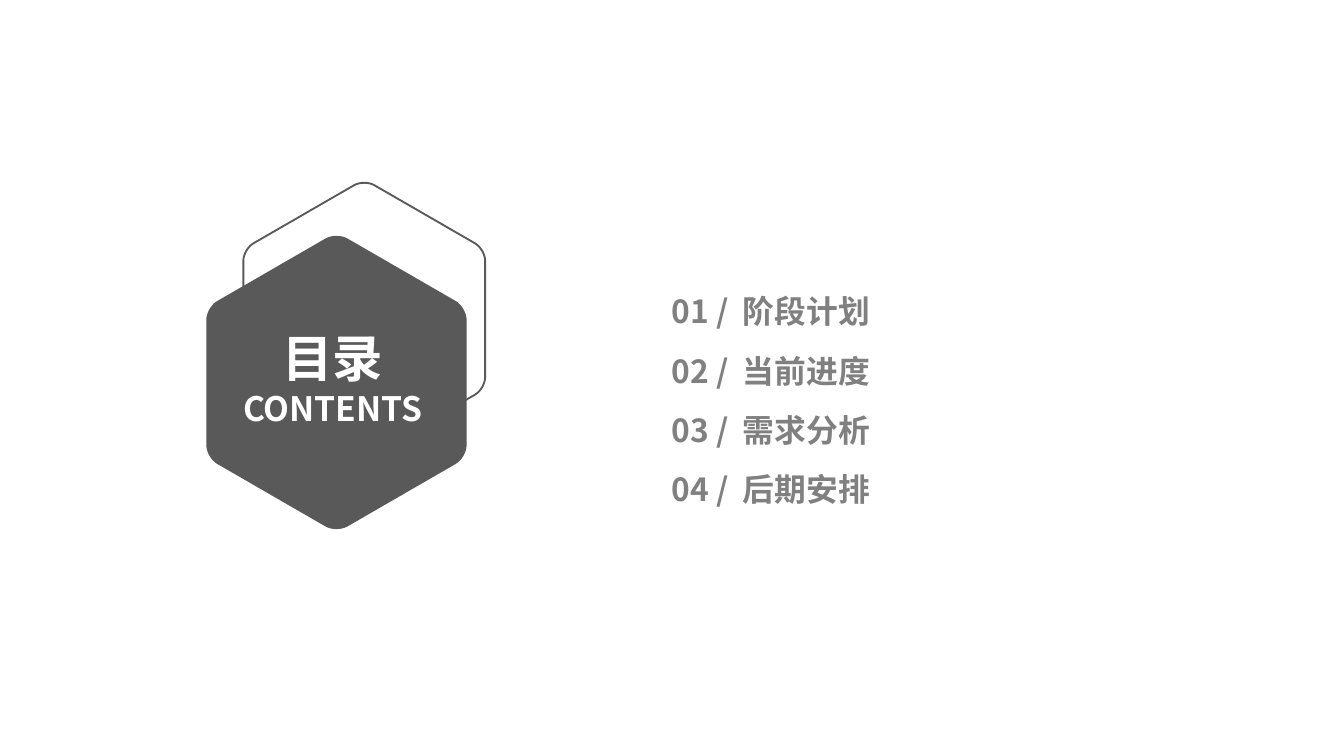
from dataclasses import dataclass
from math import cos, pi, sin, sqrt

from lxml import etree
from pptx import Presentation
from pptx.dml.color import RGBColor
from pptx.enum.text import MSO_AUTO_SIZE, PP_ALIGN
from pptx.oxml.ns import qn
from pptx.util import Cm, Pt

LEFT, CENTER = PP_ALIGN.LEFT, PP_ALIGN.CENTER
GROW = MSO_AUTO_SIZE.SHAPE_TO_FIT_TEXT


@dataclass(frozen=True)
class Theme:
    """Colours, font and type sizes of the slide."""
    dark: RGBColor = RGBColor(0x59, 0x59, 0x59)
    grey: RGBColor = RGBColor(0x80, 0x80, 0x80)
    white: RGBColor = RGBColor(0xFF, 0xFF, 0xFF)
    font: str = "Noto Sans CJK SC"
    title: int = 27
    subtitle: int = 18
    item: int = 17
    leading: float = 1.2


THEME = Theme()
TOPICS = ["阶段计划", "当前进度", "需求分析", "后期安排"]


def write(p, text, size=THEME.item, color=THEME.grey, align=LEFT, tab=None):
    """Fill a paragraph with one bold run, with an optional tab stop."""
    p.alignment = align
    p.line_spacing = Pt(size * THEME.leading)
    if tab is not None:
        tabs = etree.SubElement(p._p.get_or_add_pPr(), qn("a:tabLst"))
        etree.SubElement(tabs, qn("a:tab"), pos=str(tab), algn="l")
    r = p.add_run()
    r.text = text
    r.font.size, r.font.bold, r.font.name = Pt(size), True, THEME.font
    r.font.color.rgb = color
    etree.SubElement(r._r.get_or_add_rPr(), qn("a:ea"), typeface=THEME.font)


def add_text_frame(s, left, top, width, height):
    """Add a wrapping text box and return its text frame."""
    tf = s.shapes.add_textbox(left, top, width, height).text_frame
    tf.word_wrap, tf.auto_size = True, GROW
    tf.margin_left = tf.margin_right = Cm(0.18)
    tf.margin_top = tf.margin_bottom = Cm(0.1)
    return tf


def hexagon_points(cx, cy, width, steps=8):
    """Return the outline of an upright regular hexagon with rounded corners."""
    radius = width / sqrt(3)
    corners = [(cx + radius * sin(i * pi / 3), cy - radius * cos(i * pi / 3))
               for i in range(6)]

    def toward(a, b, share):
        return tuple(m + (n - m) * share for m, n in zip(a, b))

    points = []
    for i, corner in enumerate(corners):
        start = toward(corner, corners[i - 1], 1 / 12)
        end = toward(corner, corners[(i + 1) % 6], 1 / 12)
        curve = start, toward(start, corner, 0.55), toward(end, corner, 0.55), end
        for k in range(steps + 1):
            t = k / steps
            weights = (1 - t) ** 3, 3 * t * (1 - t) ** 2, 3 * t * t * (1 - t), t ** 3
            points.append(tuple(round(sum(w * q[axis] for w, q in zip(weights, curve)))
                                for axis in (0, 1)))
    return points


def add_hexagon(s, cx, cy, width, fill=None, line=None):
    """Add a rounded hexagon, either filled or outlined."""
    first, *rest = hexagon_points(cx, cy, width)
    builder = s.shapes.build_freeform(*first)
    builder.add_line_segments(rest, close=True)
    sp = builder.convert_to_shape()
    sp.shadow.inherit = False
    if fill is None:
        sp.fill.background()
    else:
        sp.fill.solid()
        sp.fill.fore_color.rgb = fill
    if line is None:
        sp.line.fill.background()
    else:
        sp.line.color.rgb = line
        sp.line.width = Pt(1)


def add_badge(s, left, top, width, height):
    """Draw the overlapping hexagons with the heading inside the box."""
    front = Cm(4.92)
    front_x, front_y = left + front // 2, top + height - Cm(2.8)
    back = Cm(4.57)
    add_hexagon(s, left + width - back // 2, top + Cm(2.59), back, line=THEME.dark)
    add_hexagon(s, front_x, front_y, front, fill=THEME.dark)
    tf = add_text_frame(s, left + Cm(0.08), front_y - Cm(1.15), Cm(4.62), Cm(2.1))
    write(tf.paragraphs[0], "目录", size=THEME.title, color=THEME.white, align=CENTER)
    write(tf.add_paragraph(), "CONTENTS", size=THEME.subtitle,
          color=THEME.white, align=CENTER)


def add_topics(s, left, top, width, height):
    """List the numbered topics at an equal pitch down the box."""
    pitch = height // len(TOPICS)
    for i, topic in enumerate(TOPICS):
        tf = add_text_frame(s, left, top + i * pitch, width, Cm(0.92))
        write(tf.paragraphs[0], f"{i + 1:02} /\t{topic}", tab=Cm(1.35))


def main():
    """Build and save the contents slide."""
    prs = Presentation()
    prs.slide_width = Cm(25.4)
    prs.slide_height = prs.slide_width * 9 // 16
    s = prs.slides.add_slide(prs.slide_layouts[6])
    add_badge(s, Cm(3.9), Cm(3.44), Cm(5.27), Cm(6.59))
    add_topics(s, Cm(12.51), Cm(5.42), Cm(7.5), Cm(4.48))
    prs.save("out.pptx")


if __name__ == "__main__":
    main()
